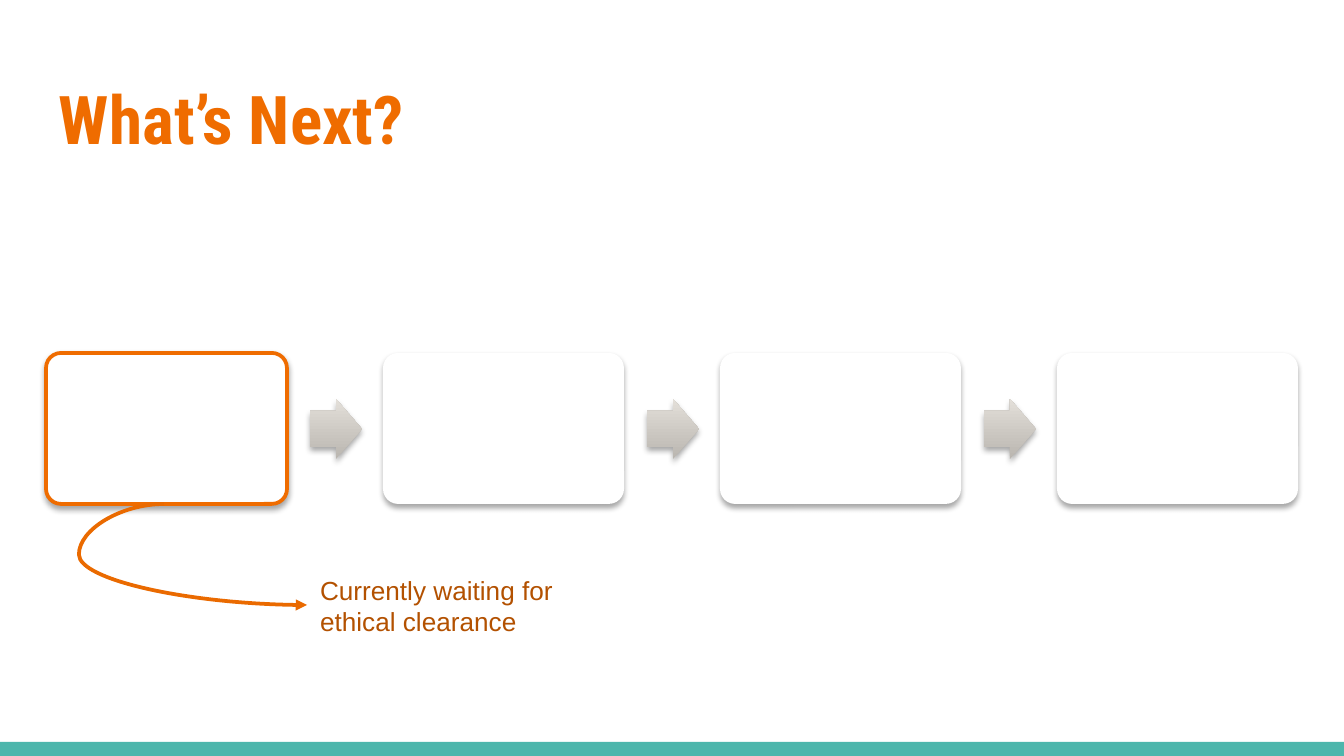
from typing import NamedTuple

from lxml.etree import SubElement
from pptx import Presentation
from pptx.dml.color import RGBColor
from pptx.enum.shapes import MSO_CONNECTOR, MSO_SHAPE
from pptx.enum.text import MSO_ANCHOR
from pptx.oxml.ns import qn
from pptx.util import Emu, Pt

ORANGE = "EF6C00"
STEPS = 4
PITCH = 337


class Box(NamedTuple):
    x: int
    y: int
    w: int
    h: int


class Label(NamedTuple):
    text: str
    box: Box
    font: str
    size: int
    color: str
    bold: bool
    inset: tuple[int, int]
    anchor: MSO_ANCHOR


def px(n: float) -> Emu:
    return Emu(round(n * 914400 / 134.4))


def rgb(code: str) -> RGBColor:
    return RGBColor.from_string(code)


def draw(kind: MSO_SHAPE, box: Box, fill: str | None = None):
    shape = slide.shapes.add_shape(kind, *map(px, box))
    shape.shadow.inherit = False
    shape.line.fill.background()
    if fill:
        shape.fill.solid()
        shape.fill.fore_color.rgb = rgb(fill)
    return shape


def shade(shape) -> None:
    effects = shape._element.spPr.find(qn("a:effectLst"))
    shadow = SubElement(effects, qn("a:outerShdw"), blurRad="40000", dist="23000",
                        dir="5400000", rotWithShape="0")
    color = SubElement(shadow, qn("a:srgbClr"), val="000000")
    SubElement(color, qn("a:alpha"), val="35000")


def stroke(line, color: str) -> None:
    line.fill.solid()
    line.fill.fore_color.rgb = rgb(color)
    line.width = Pt(2)


def card(step: int) -> None:
    shape = draw(MSO_SHAPE.ROUNDED_RECTANGLE, Box(46 + step * PITCH, 353, 241, 151), "FFFFFF")
    shape.adjustments[0] = 0.1
    shade(shape)
    if step == 0:
        stroke(shape.line, ORANGE)


def arrow(step: int) -> None:
    shape = draw(MSO_SHAPE.RIGHT_ARROW, Box(310 + step * PITCH, 399, 52, 60))
    shape.adjustments[0] = 0.6
    shape.adjustments[1] = 0.5
    shape.fill.gradient()
    shape.fill.gradient_angle = 90
    for stop, color in zip(shape.fill.gradient_stops, ("BAB6B0", "E3DFD9")):
        stop.color.rgb = rgb(color)
    for stop, place in zip(shape.fill.gradient_stops, (0, 1)):
        stop.position = place
    shade(shape)


def write(label: Label) -> None:
    frame = slide.shapes.add_textbox(*map(px, label.box)).text_frame
    frame.word_wrap = True
    frame.vertical_anchor = label.anchor
    side, edge = map(px, label.inset)
    frame.margin_left = frame.margin_right = side
    frame.margin_top = frame.margin_bottom = edge
    para = frame.paragraphs[0]
    para.text = label.text
    para.font.name = label.font
    para.font.size = Pt(label.size)
    para.font.bold = label.bold
    para.font.color.rgb = rgb(label.color)


def curve() -> None:
    link = slide.shapes.add_connector(MSO_CONNECTOR.CURVE, *map(px, (164, 504, 307, 605)))
    stroke(link.line, "EA6A00")
    props = link._element.spPr
    SubElement(props.find(qn("a:ln")), qn("a:tailEnd"), type="triangle")
    SubElement(props, qn("a:effectLst"))
    guides = props.find(qn("a:prstGeom")).find(qn("a:avLst"))
    SubElement(guides, qn("a:gd"), name="adj1", fmla="val -59500")


deck = Presentation()
deck.slide_width, deck.slide_height = px(1344), px(756)
slide = deck.slides.add_slide(deck.slide_layouts[6])

draw(MSO_SHAPE.RECTANGLE, Box(0, 742, 1344, 14), "4DB6AC")
for step in range(STEPS):
    card(step)
    if step < STEPS - 1:
        arrow(step)
curve()
for label in (
    Label("What’s Next?", Box(46, 66, 1252, 103), "Roboto Condensed", 36, ORANGE,
          True, (13, 13), MSO_ANCHOR.MIDDLE),
    Label("Currently waiting for ethical clearance", Box(307, 567, 293, 77), "Arial", 14,
          "B35100", False, (13, 7), MSO_ANCHOR.TOP),
):
    write(label)

deck.save("out.pptx")
